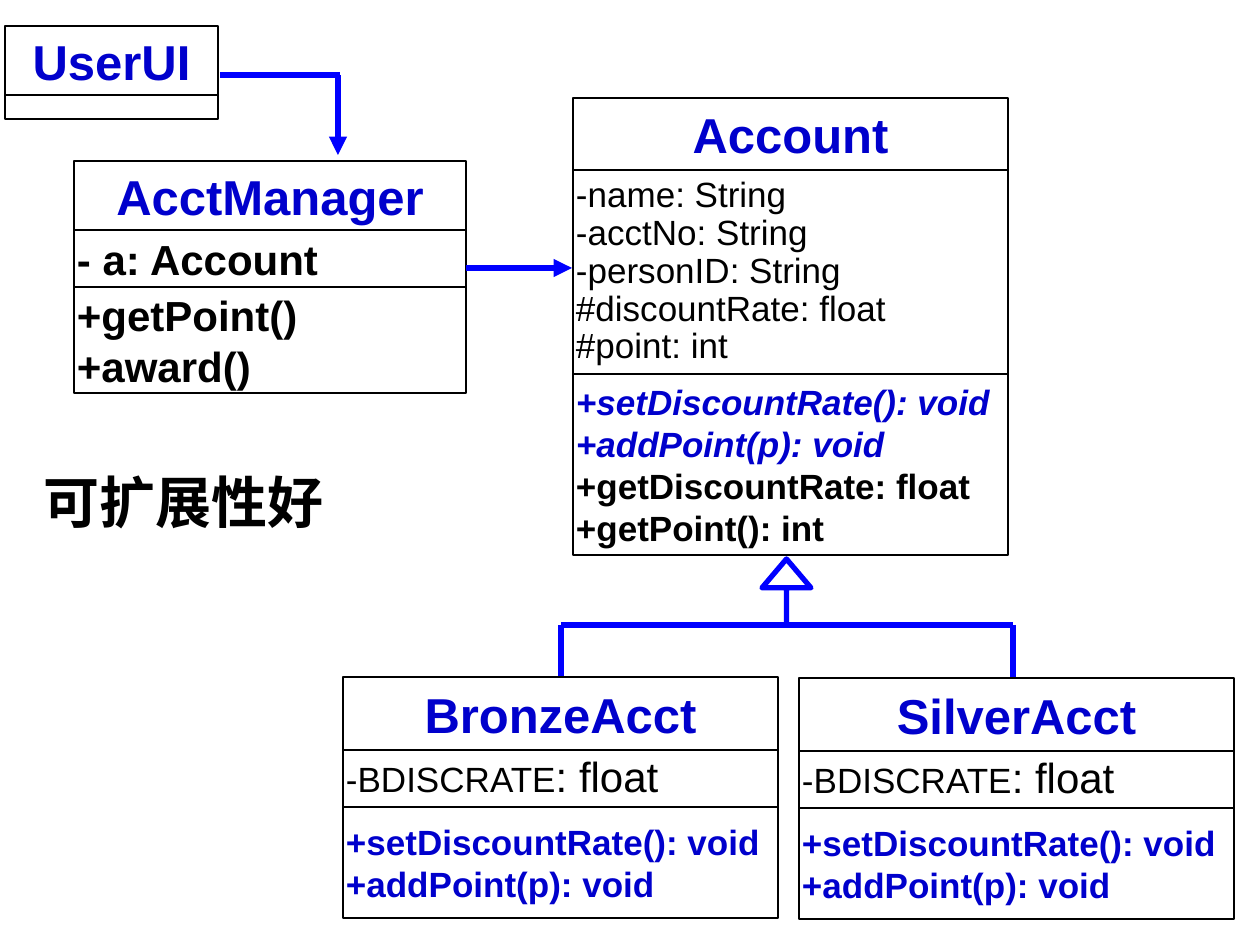
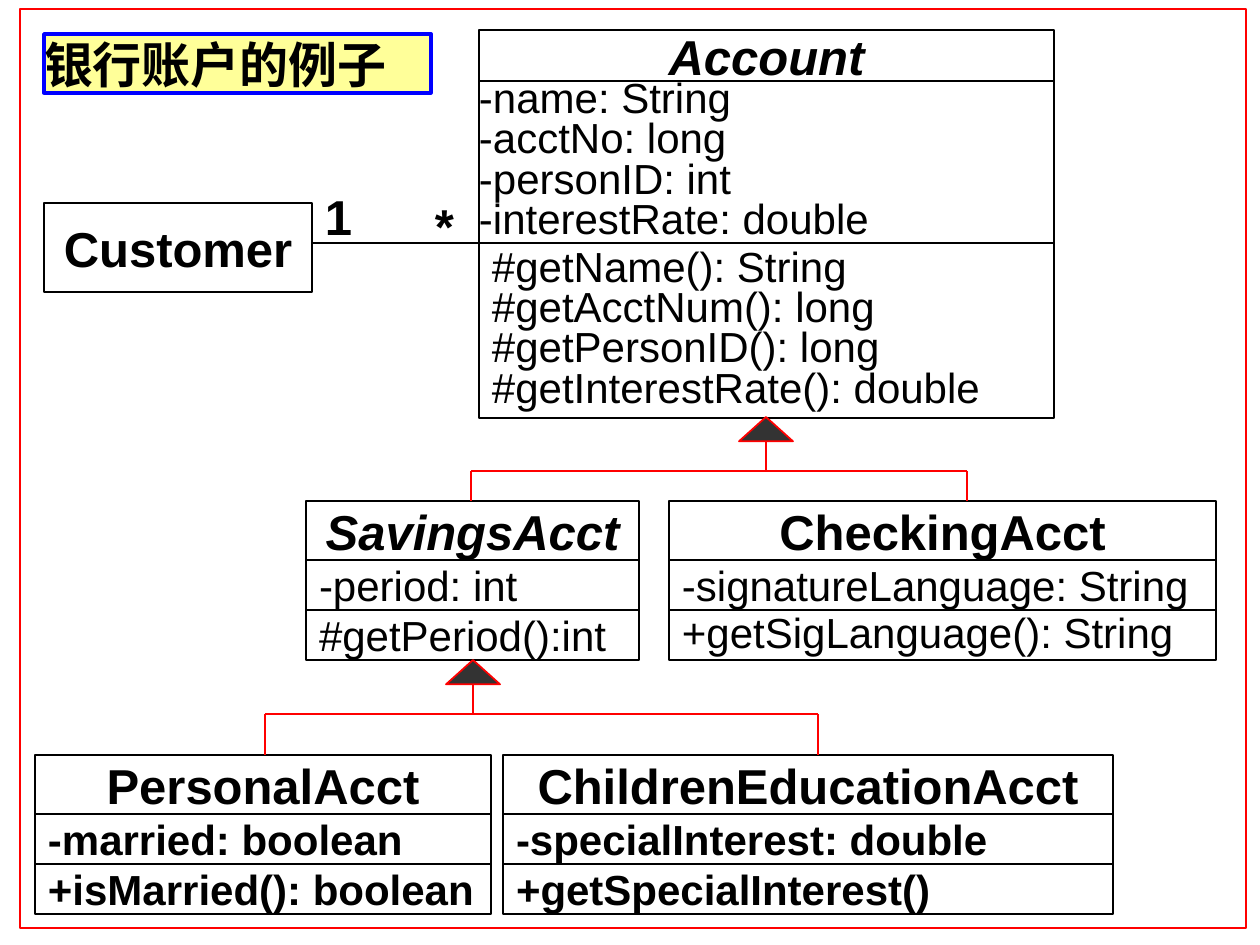
from dataclasses import dataclass, replace
from typing import Optional

from lxml import etree
from pptx import Presentation, util as u
from pptx.dml.color import RGBColor
from pptx.enum import shapes, text
from pptx.oxml.ns import qn

# Shared scale, colours and fonts
PX_PER_INCH = 126
BLACK = RGBColor(0, 0, 0)
WHITE = RGBColor(255, 255, 255)
NAVY = RGBColor(0, 0, 204)
BLUE = RGBColor(0, 0, 255)
RED = RGBColor(255, 0, 0)
CHARCOAL = RGBColor(51, 51, 51)
PALE_YELLOW = RGBColor(255, 255, 153)
LATIN = "Arial"
CHINESE = "Noto Sans CJK SC"
TAIL_SIZE = 24


@dataclass(frozen=True)
class Style:
    size: int = 24
    bold: bool = False
    italic: bool = False
    color: RGBColor = BLACK
    spacing: float = 1.0
    centred: bool = False
    font: str = LATIN


@dataclass(frozen=True)
class Line:
    text: str
    style: Style
    tail: str = ""  # larger ending of the line


@dataclass(frozen=True)
class Row:
    height: int
    lines: tuple[Line, ...] = ()
    side: int = 13


@dataclass(frozen=True)
class ClassBox:
    left: int
    top: int
    width: int
    rows: tuple[Row, ...]


@dataclass(frozen=True)
class Inheritance:
    """Arrow up to the parent, and a bus with one drop per child."""
    arrow_left: int
    arrow_top: int
    arrow_width: int
    bus: int
    children: tuple[int, int]
    child_top: int
    head: float
    fill: RGBColor
    color: RGBColor
    arrow_weight: float
    bus_weight: float


HEADING = Style(28, bold=True, centred=True)
NAVY_HEADING = replace(HEADING, color=NAVY)
ABSTRACT = replace(HEADING, italic=True)
MEMBER = Style()
BOLD_MEMBER = Style(bold=True)
TIGHT = Style(spacing=0.8)
SMALL = Style(20, spacing=0.9)
SMALL_BOLD = Style(20, bold=True)
OVERRIDE = replace(SMALL_BOLD, color=NAVY)
ABSTRACT_METHOD = replace(OVERRIDE, italic=True)
LABEL = Style(28, bold=True)


def px(length: int) -> int:
    return round(length * u.Inches(1) / PX_PER_INCH)


def lines(style: Style, *texts: str) -> tuple[Line, ...]:
    return tuple(Line(item, style) for item in texts)


# Drawing functions
def write(shape, content: tuple[Line, ...], side: int = 13, vertical: int = 6,
          anchor=text.MSO_ANCHOR.MIDDLE) -> None:
    frame = shape.text_frame
    frame.word_wrap = True
    frame.vertical_anchor = anchor
    frame.margin_left = frame.margin_right = px(side)
    frame.margin_top = frame.margin_bottom = px(vertical)
    for index, line in enumerate(content):
        para = frame.add_paragraph() if index else frame.paragraphs[0]
        style = line.style
        para.alignment = text.PP_ALIGN.CENTER if style.centred else text.PP_ALIGN.LEFT
        para.line_spacing = style.spacing
        para.add_run().text = line.text
        if line.tail:
            span = para.add_run()
            span.text = line.tail
            span.font.size = u.Pt(TAIL_SIZE)
        font = para.font
        font.size = u.Pt(style.size)
        font.bold = style.bold
        font.italic = style.italic
        font.color.rgb = style.color
        font.name = style.font
        defaults = para._p.pPr.find(qn("a:defRPr"))
        etree.SubElement(defaults, qn("a:ea")).set("typeface", CHINESE)


def add_block(page, left: int, top: int, width: int, height: int,
              fill: Optional[RGBColor] = WHITE, color: RGBColor = BLACK,
              weight: float = 0.75, kind=shapes.MSO_SHAPE.RECTANGLE):
    box = page.shapes.add_shape(kind, px(left), px(top), px(width), px(height))
    box.shadow.inherit = False
    if fill is None:
        box.fill.background()
    else:
        box.fill.solid()
        box.fill.fore_color.rgb = fill
    box.line.color.rgb = color
    box.line.width = u.Pt(weight)
    return box


def add_line(page, start: tuple[int, int], end: tuple[int, int],
             color: RGBColor, weight: float, arrow: bool = False) -> None:
    line = page.shapes.add_connector(shapes.MSO_CONNECTOR.STRAIGHT,
                                     *map(px, start + end))
    line.line.color.rgb = color
    line.line.width = u.Pt(weight)
    if arrow:
        etree.SubElement(line.line._get_or_add_ln(), qn("a:tailEnd")).set("type", "triangle")
    etree.SubElement(line._element.spPr, qn("a:effectLst"))


def add_class(page, item: ClassBox) -> None:
    top = item.top
    for row in item.rows:
        box = add_block(page, item.left, top, item.width, row.height)
        if row.lines:
            write(box, row.lines, row.side)
        top += row.height


def add_inheritance(page, tree: Inheritance) -> None:
    first, last = tree.children
    add_line(page, (first, tree.bus), (last, tree.bus), tree.color, tree.bus_weight)
    for child in tree.children:
        add_line(page, (child, tree.bus), (child, tree.child_top),
                 tree.color, tree.bus_weight)
    arrow = add_block(page, tree.arrow_left, tree.arrow_top, tree.arrow_width,
                      tree.bus - tree.arrow_top, tree.fill, tree.color,
                      tree.arrow_weight, shapes.MSO_SHAPE.UP_ARROW)
    arrow.adjustments[0] = 0
    arrow.adjustments[1] = tree.head


def add_label(page, left: int, top: int, width: int, height: int, line: Line) -> None:
    box = page.shapes.add_textbox(px(left), px(top), px(width), px(height))
    write(box, (line,), anchor=text.MSO_ANCHOR.TOP)


# Slide 1: account manager with discount accounts
def discount_account(name: str, left: int, top: int) -> ClassBox:
    return ClassBox(left, top, 435, (
        Row(73, lines(NAVY_HEADING, name)),
        Row(57, (Line("-BDISCRATE", SMALL, ": float"),), 3),
        Row(111, lines(OVERRIDE, "+setDiscountRate(): void", "+addPoint(p): void"), 3),
    ))


MANAGER_CLASSES = (
    ClassBox(5, 26, 213, (Row(69, lines(NAVY_HEADING, "UserUI")), Row(24))),
    ClassBox(74, 161, 392, (
        Row(69, lines(NAVY_HEADING, "AcctManager")),
        Row(57, lines(BOLD_MEMBER, "- a: Account"), 3),
        Row(106, lines(BOLD_MEMBER, "+getPoint()", "+award()"), 3),
    )),
    ClassBox(573, 98, 435, (
        Row(72, lines(NAVY_HEADING, "Account")),
        Row(204, lines(SMALL, "-name: String", "-acctNo: String", "-personID: String",
                       "#discountRate: float", "#point: int"), 3),
        Row(181, lines(ABSTRACT_METHOD, "+setDiscountRate(): void", "+addPoint(p): void")
            + lines(SMALL_BOLD, "+getDiscountRate: float", "+getPoint(): int"), 3),
    )),
    discount_account("BronzeAcct", 343, 677),
    discount_account("SilverAcct", 799, 678),
)
DISCOUNT_TREE = Inheritance(762, 559, 49, 625, (561, 1013), 677, 0.59,
                            WHITE, BLUE, 3, 3)


def build_manager_slide(page) -> None:
    add_inheritance(page, DISCOUNT_TREE)
    for item in MANAGER_CLASSES:
        add_class(page, item)
    add_line(page, (466, 268), (572, 268), BLUE, 3.5, arrow=True)
    add_line(page, (220, 75), (340, 75), BLUE, 3.5)
    add_line(page, (338, 75), (338, 155), BLUE, 3.5, arrow=True)
    add_label(page, 30, 462, 320, 81,
              Line("可扩展性好", Style(32, bold=True, font=CHINESE)))


# Slide 2: bank account hierarchy
def bank_account(left: int, top: int, width: int, heading: Style, name: str,
                 attribute: Line, method: Line) -> ClassBox:
    return ClassBox(left, top, width, (
        Row(59, lines(heading, name)), Row(50, (attribute,)), Row(50, (method,))))


BANK_CLASSES = (
    ClassBox(44, 203, 268, (Row(89, lines(HEADING, "Customer")),)),
    ClassBox(479, 30, 575, (
        Row(51, lines(ABSTRACT, "Account")),
        Row(162, lines(TIGHT, "-name: String", "-acctNo: long", "-personID: int",
                       "-interestRate: double"), 0),
        Row(175, lines(TIGHT, "#getName(): String", "#getAcctNum(): long",
                       "#getPersonID(): long", "#getInterestRate(): double")),
    )),
    bank_account(306, 501, 333, ABSTRACT, "SavingsAcct",
                 Line("-period: int", MEMBER), Line("#getPeriod():int", MEMBER)),
    bank_account(669, 501, 547, HEADING, "CheckingAcct",
                 Line("-signatureLanguage: String", MEMBER),
                 Line("+getSigLanguage(): String", replace(MEMBER, spacing=0.9))),
    bank_account(35, 755, 456, HEADING, "PersonalAcct",
                 Line("-married: boolean", BOLD_MEMBER),
                 Line("+isMarried(): boolean", BOLD_MEMBER)),
    bank_account(503, 755, 610, HEADING, "ChildrenEducationAcct",
                 Line("-specialInterest: double", BOLD_MEMBER),
                 Line("+getSpecialInterest()", BOLD_MEMBER)),
)
ACCOUNT_TREE = Inheritance(739, 417, 54, 471, (471, 967), 501, 0.45,
                           CHARCOAL, RED, 1, 1.5)
SAVINGS_TREE = replace(ACCOUNT_TREE, arrow_left=446, arrow_top=660, bus=714,
                       children=(265, 818), child_top=755)


def build_bank_slide(page) -> None:
    add_block(page, 20, 9, 1226, 919, None, RED, 1.5)
    title = add_block(page, 44, 34, 387, 59, PALE_YELLOW, BLUE, 2)
    write(title, lines(LABEL, "银行账户的例子"), 0, 0)
    add_line(page, (312, 243), (479, 243), BLACK, 0.75)
    for item in BANK_CLASSES:
        add_class(page, item)
    for tree in (ACCOUNT_TREE, SAVINGS_TREE):
        add_inheritance(page, tree)
    add_label(page, 312, 180, 40, 72, Line("1", LABEL))
    add_label(page, 422, 189, 40, 72, Line("*", LABEL))


def main() -> None:
    deck = Presentation()
    deck.slide_width, deck.slide_height = u.Inches(10), u.Inches(7.5)
    blank = deck.slide_layouts[6]
    for build in (build_manager_slide, build_bank_slide):
        build(deck.slides.add_slide(blank))
    deck.save("out.pptx")


if __name__ == "__main__":
    main()
